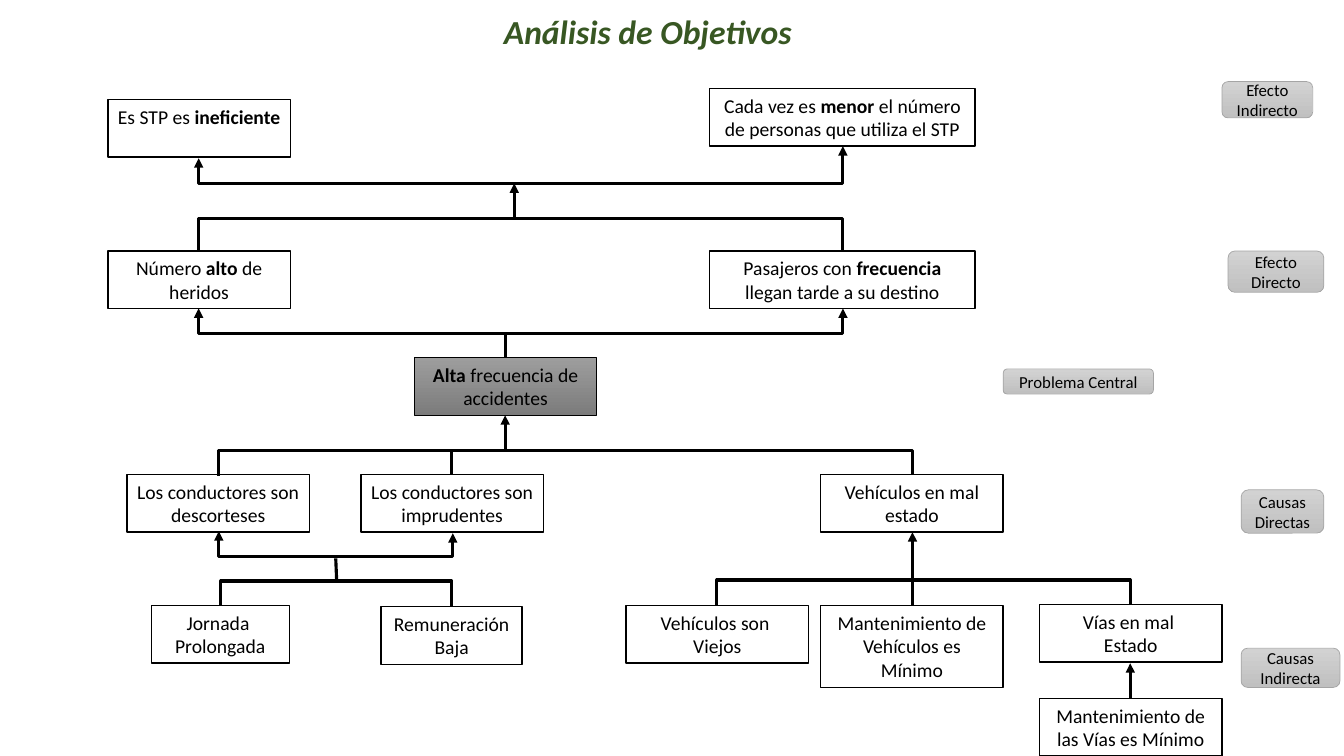
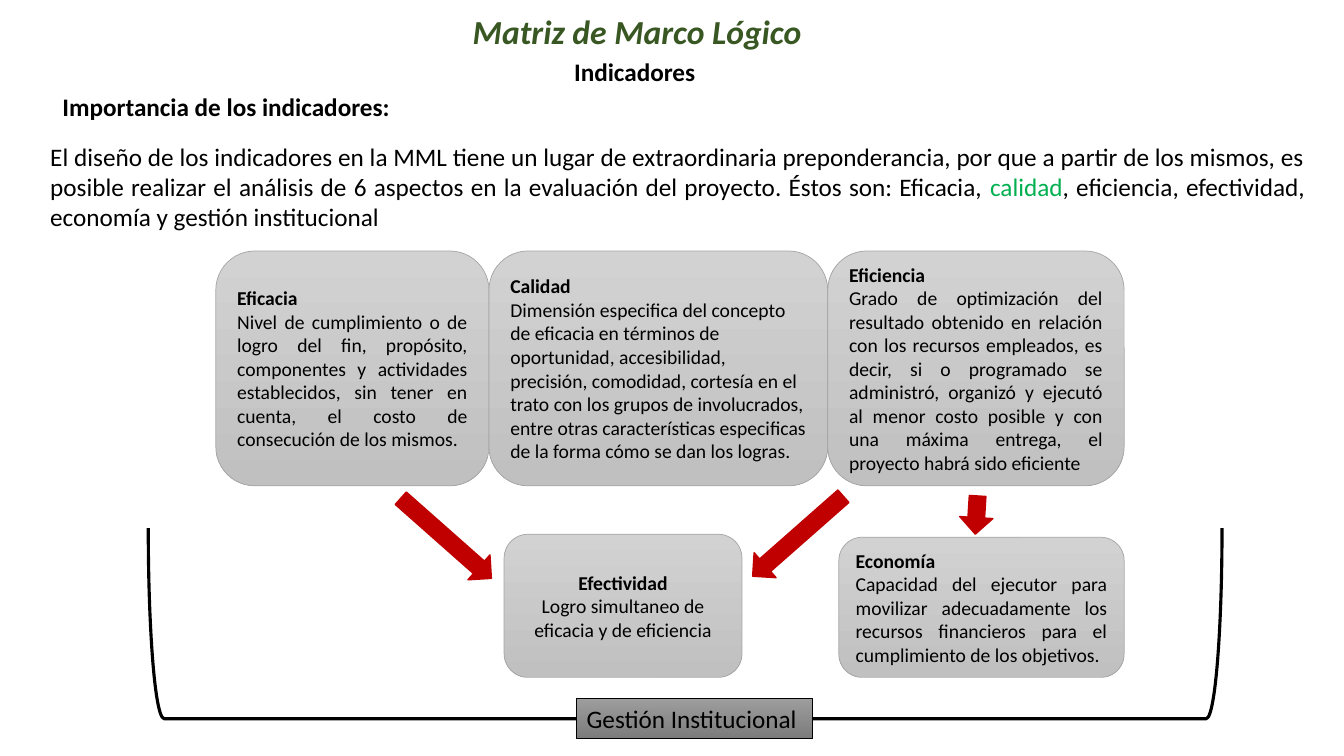
from dataclasses import dataclass
from itertools import cycle
from typing import Optional

from lxml.etree import SubElement
from pptx import Presentation
from pptx.dml.color import RGBColor
from pptx.enum.shapes import MSO_CONNECTOR, MSO_SHAPE
from pptx.enum.text import MSO_ANCHOR, PP_ALIGN
from pptx.oxml.ns import qn
from pptx.util import Inches, Pt

FONT = "Calibri"
BLACK, WHITE, TITLE_GREEN, WORD_GREEN = "000000", "FFFFFF", "385723", "00B050"
RED, GREY_LINE = "C00000", "A5A5A5"
LIGHT_GREY = ("D2D2D2", "C0C0C0")
DARK_GREY = ("9D9D9D", "7C7C7C")
LEFT, CENTER, JUSTIFY = PP_ALIGN.LEFT, PP_ALIGN.CENTER, PP_ALIGN.JUSTIFY


@dataclass(frozen=True)
class Area:
    left: float
    top: float
    width: float
    height: float


@dataclass(frozen=True)
class Style:
    size: float
    align: PP_ALIGN = LEFT
    colour: str = BLACK
    bold: bool = False
    italic: bool = False
    accent: Optional[str] = None


@dataclass(frozen=True)
class Look:
    kind: MSO_SHAPE
    fill: tuple
    line: str
    line_width: float
    anchor: MSO_ANCHOR = MSO_ANCHOR.TOP


@dataclass(frozen=True)
class Block:
    text: str
    area: Area
    align: PP_ALIGN = CENTER


@dataclass(frozen=True)
class Link:
    x1: float
    y1: float
    x2: float
    y2: float
    ends: tuple = ()
    bar: Optional[float] = None


@dataclass(frozen=True)
class RedArrow:
    area: Area
    angle: float


TITLE = Style(24, colour=TITLE_GREEN, bold=True, italic=True)
HEADING = Style(18, bold=True)
BODY = Style(18, JUSTIFY, accent=WORD_GREEN)

NODE = Look(MSO_SHAPE.RECTANGLE, (WHITE,), BLACK, 1)
KEY_NODE = Look(MSO_SHAPE.RECTANGLE, DARK_GREY, BLACK, 0.5)
CARD = Look(MSO_SHAPE.ROUNDED_RECTANGLE, LIGHT_GREY, GREY_LINE, 0.5, MSO_ANCHOR.MIDDLE)
POINTER = Look(MSO_SHAPE.DOWN_ARROW, (RED,), RED, 1)
BRACKET = Look(MSO_SHAPE.RIGHT_BRACKET, (), BLACK, 2.25)

NODE_WIDTH, WIDE_NODE, NODE_HEIGHT = 1.81, 2.63, 0.57
TAIL, BOTH = ("tailEnd",), ("headEnd", "tailEnd")


def node(text: str, left: float, top: float,
         width: float = NODE_WIDTH, height: float = NODE_HEIGHT) -> Block:
    return Block(text, Area(left, top, width, height))


NODES = (
    node("Número |alto| de heridos", 1.07, 2.49),
    node("Pasajeros con |frecuencia| llegan tarde a su destino", 7.04, 2.49, WIDE_NODE),
    node("Es STP es |ineficiente|", 1.07, 0.99),
    node("Cada vez es |menor| el número de personas que utiliza el STP", 7.04, 0.88, WIDE_NODE),
    node("Los conductores son descorteses", 1.26, 4.71),
    node("Los conductores son imprudentes", 3.58, 4.71),
    node("Vehículos en mal estado", 8.14, 4.71),
    node("Remuneración\nBaja", 3.78, 6.02, 1.4),
    node("Jornada \nProlongada", 1.5, 6.01, 1.37),
    node("Vehículos son \nViejos", 6.21, 6.01),
    node("Mantenimiento de las Vías es Mínimo", 10.31, 6.93),
    node("Mantenimiento de Vehículos es Mínimo", 8.14, 6.01, height=0.81),
    node("Vías en mal \nEstado", 10.31, 6),
)
CENTRAL_PROBLEM = node("|Alta| frecuencia de accidentes", 4.11, 3.55)

LEVELS = (
    Block("Problema Central", Area(9.95, 3.66, 1.49, 0.25)),
    Block("Efecto Directo", Area(12.18, 2.49, 0.95, 0.41)),
    Block("Efecto Indirecto", Area(12.12, 0.81, 0.9, 0.36)),
    Block("Causas Directas", Area(12.31, 4.86, 0.82, 0.43)),
    Block("Causas Indirecta", Area(12.31, 6.43, 0.98, 0.39)),
)

STRAIGHT_LINKS = (
    Link(5.1, 2.17, 5.1, 1.82, TAIL),
    Link(11.21, 6.93, 11.21, 6.58, TAIL),
    Link(9.05, 6.01, 9.05, 5.28, TAIL),
    Link(3.33, 5.54, 3.34, 5.78),
    Link(4.48, 4.71, 4.48, 4.46),
    Link(5.01, 4.46, 5.01, 4.12, TAIL),
)
BAR_LINKS = (
    Link(5.01, 3.55, 8.36, 3.06, TAIL, 3.31),
    Link(5.01, 3.55, 1.97, 3.06, TAIL, 3.31),
    Link(7.11, 6.01, 11.21, 6, bar=5.75),
    Link(2.19, 6.01, 4.48, 6.02, bar=5.76),
    Link(2.17, 5.27, 4.49, 5.29, BOTH, 5.52),
    Link(2.17, 4.72, 9.05, 4.7, bar=4.47),
)
RISING_CORNERS = (
    Link(8.36, 2.49, 5.18, 2.17),
    Link(1.97, 2.49, 5.18, 2.17),
)
LEVEL_CORNERS = (
    Link(5.1, 1.82, 8.36, 1.45, TAIL),
    Link(5.1, 1.82, 1.97, 1.57, TAIL),
)

ASPECTS = (
    Block("|Eficacia|\nNivel de cumplimiento o de logro del fin, propósito, componentes y "
          "actividades establecidos, sin tener en cuenta, el costo de consecución de los mismos.",
          Area(2.14, 2.49, 2.71, 2.33), JUSTIFY),
    Block("|Calidad|\nDimensión especifica del concepto de eficacia en términos de oportunidad, "
          "accesibilidad, precisión, comodidad, cortesía en el trato con los grupos de "
          "involucrados, entre otras características especificas de la forma cómo se dan "
          "los logras.", Area(4.85, 2.49, 3.36, 2.33), LEFT),
    Block("|Eficiencia|\nGrado de optimización del resultado obtenido en relación con los "
          "recursos empleados, es decir, si o programado se administró, organizó y ejecutó al "
          "menor costo posible y con una máxima entrega, el proyecto habrá sido eficiente",
          Area(8.21, 2.49, 2.94, 2.33), JUSTIFY),
    Block("|Efectividad|\nLogro simultaneo de eficacia y de eficiencia",
          Area(5, 5.3, 2.36, 1.42)),
    Block("|Economía|\nCapacidad del ejecutor para movilizar adecuadamente los recursos "
          "financieros para el cumplimiento de los objetivos.",
          Area(8.32, 5.33, 2.83, 1.39), JUSTIFY),
)

RED_ARROWS = (
    RedArrow(Area(7.75, 4.72, 0.33, 1.2), 48.6),
    RedArrow(Area(4.26, 4.74, 0.33, 1.2), 311.5),
    RedArrow(Area(9.52, 4.92, 0.33, 0.38), 3.5),
)


def rgb(colour: str) -> RGBColor:
    return RGBColor.from_string(colour)


def place(area: Area) -> tuple:
    return tuple(Inches(n) for n in (area.left, area.top, area.width, area.height))


def write(frame, text: str, style: Style) -> None:
    frame.word_wrap = True
    for index, line in enumerate(text.split("\n")):
        para = frame.add_paragraph() if index else frame.paragraphs[0]
        para.alignment = style.align
        for piece, marked in zip(line.split("|"), cycle((False, True))):
            if not piece:
                continue
            span = para.add_run()
            span.text = piece
            span.font.name = FONT
            span.font.size = Pt(style.size)
            span.font.italic = style.italic
            span.font.bold = style.bold or (marked and not style.accent)
            span.font.color.rgb = rgb(style.accent if marked and style.accent else style.colour)


def add_text(page, text: str, area: Area, style: Style) -> None:
    write(page.shapes.add_textbox(*place(area)).text_frame, text, style)


def add_box(page, look: Look, area: Area, text: str = "",
            style: Style = BODY, angle: float = 0) -> None:
    box = page.shapes.add_shape(look.kind, *place(area))
    box.shadow.inherit = False
    box.rotation = angle
    box.line.color.rgb = rgb(look.line)
    box.line.width = Pt(look.line_width)
    if not look.fill:
        box.fill.background()
    elif len(look.fill) == 1:
        box.fill.solid()
        box.fill.fore_color.rgb = rgb(look.fill[0])
    else:
        box.fill.gradient()
        box.fill.gradient_angle = 270
        for stop, colour in zip(box.fill.gradient_stops, look.fill):
            stop.color.rgb = rgb(colour)
    if text:
        box.text_frame.vertical_anchor = look.anchor
        write(box.text_frame, text, style)


def add_link(page, link: Link, kind: MSO_CONNECTOR = MSO_CONNECTOR.STRAIGHT):
    ends = (Inches(n) for n in (link.x1, link.y1, link.x2, link.y2))
    line = page.shapes.add_connector(kind, *ends)
    line.line.color.rgb = rgb(BLACK)
    line.line.width = Pt(2.25)
    outline = line.line._get_or_add_ln()
    for end in link.ends:
        SubElement(outline, qn(f"a:{end}"), type="triangle")
    SubElement(line._element.spPr, qn("a:effectLst"))
    return line


def add_elbow(page, link: Link, rising: bool = True) -> None:
    line = add_link(page, link, MSO_CONNECTOR.ELBOW)
    right, up = link.x2 > link.x1, link.y2 < link.y1
    width, height = abs(link.x2 - link.x1), abs(link.y2 - link.y1)
    if rising:
        width, height = height, width
        angle, flips = (90 if right and up else 270), (right, up)
    else:
        angle, flips = (0 if right else 180), (False, right)
    line.left = Inches((link.x1 + link.x2 - width) / 2)
    line.top = Inches((link.y1 + link.y2 - height) / 2)
    line.width, line.height = Inches(width), Inches(height)
    frame = line._element.spPr.find(qn("a:xfrm"))
    frame.set("rot", str(angle * 60000))
    for name, flip in zip(("flipH", "flipV"), flips):
        frame.set(name, str(int(flip)))
    geometry = line._element.spPr.find(qn("a:prstGeom"))
    if link.bar is None:
        geometry.set("prst", "bentConnector2")
    else:
        share = round((link.bar - link.y1) / (link.y2 - link.y1) * 100000)
        SubElement(geometry.find(qn("a:avLst")), qn("a:gd"), name="adj1", fmla=f"val {share}")


def new_page(deck, title: str, area: Area):
    page = deck.slides.add_slide(deck.slide_layouts[6])
    add_text(page, title, area, TITLE)
    return page


def build_objectives(deck) -> None:
    page = new_page(deck, "Análisis de Objetivos", Area(4.9, 0.06, 3.36, 0.5))
    add_box(page, KEY_NODE, CENTRAL_PROBLEM.area, CENTRAL_PROBLEM.text, Style(14, CENTER))
    for item in NODES:
        add_box(page, NODE, item.area, item.text, Style(14, item.align))
    for link in STRAIGHT_LINKS:
        add_link(page, link)
    for link in BAR_LINKS + RISING_CORNERS:
        add_elbow(page, link)
    for link in LEVEL_CORNERS:
        add_elbow(page, link, rising=False)
    for level in LEVELS:
        add_box(page, CARD, level.area, level.text, Style(12, level.align))


def build_indicators(deck) -> None:
    page = new_page(deck, "Matriz de Marco Lógico", Area(4.59, 0.06, 3.88, 0.5))
    add_text(page, "Indicadores", Area(4.7, 0.51, 3.19, 0.4), Style(18, CENTER, bold=True))
    add_text(page, "Importancia de los indicadores:", Area(0.52, 0.86, 6.67, 0.4), HEADING)
    add_text(page, "El diseño de los indicadores en la MML tiene un lugar de extraordinaria "
             "preponderancia, por que a partir de los mismos, es posible realizar el análisis "
             "de 6 aspectos en la evaluación del proyecto. Éstos son: Eficacia, |calidad|, "
             "eficiencia, efectividad, economía y gestión institucional",
             Area(0.4, 1.35, 12.64, 1.01), BODY)
    for aspect in ASPECTS:
        add_box(page, CARD, aspect.area, aspect.text, Style(14, aspect.align))
    for arrow in RED_ARROWS:
        add_box(page, POINTER, arrow.area, angle=arrow.angle)
    add_box(page, BRACKET, Area(5.85, 0.86, 1.89, 10.65), angle=90)
    add_box(page, KEY_NODE, Area(5.72, 6.93, 2.34, 0.4), "Gestión Institucional", Style(18))


def main() -> None:
    deck = Presentation()
    deck.slide_width, deck.slide_height = Inches(13.33), Inches(7.5)
    build_objectives(deck)
    build_indicators(deck)
    deck.save("out.pptx")


if __name__ == "__main__":
    main()
